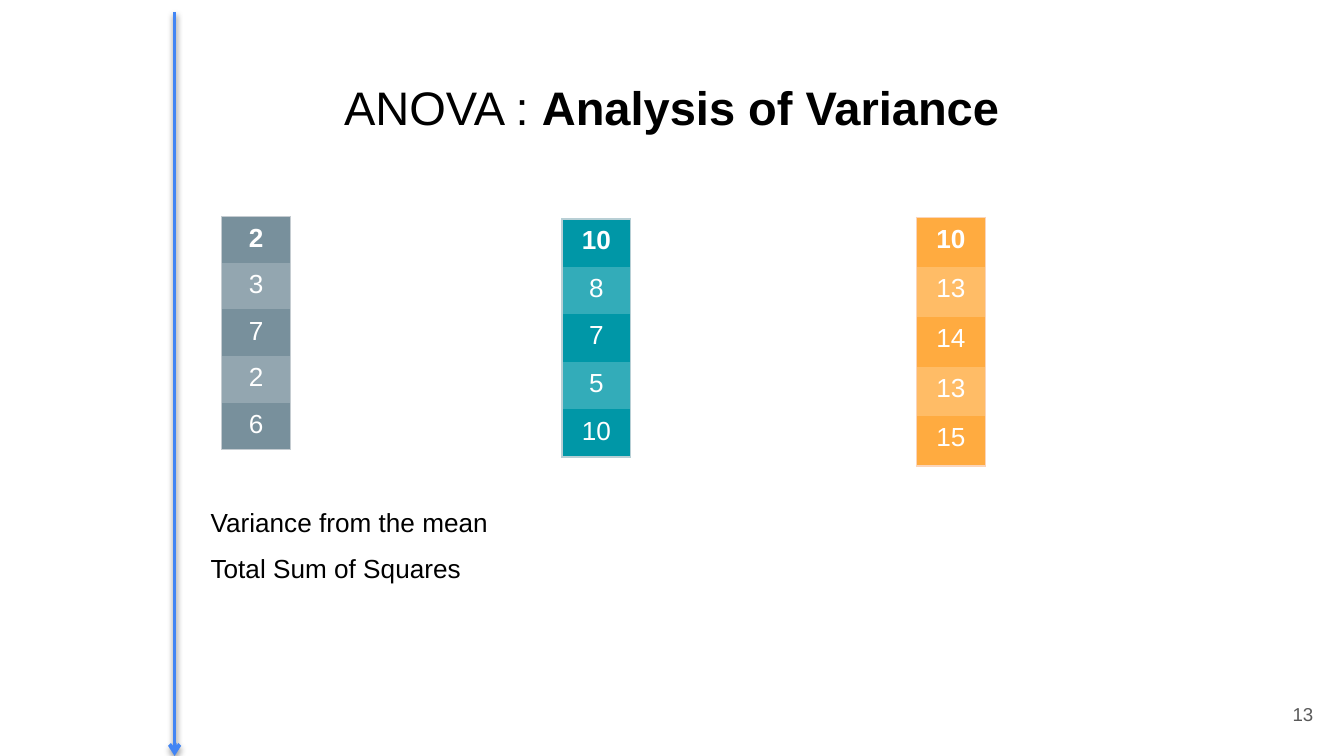
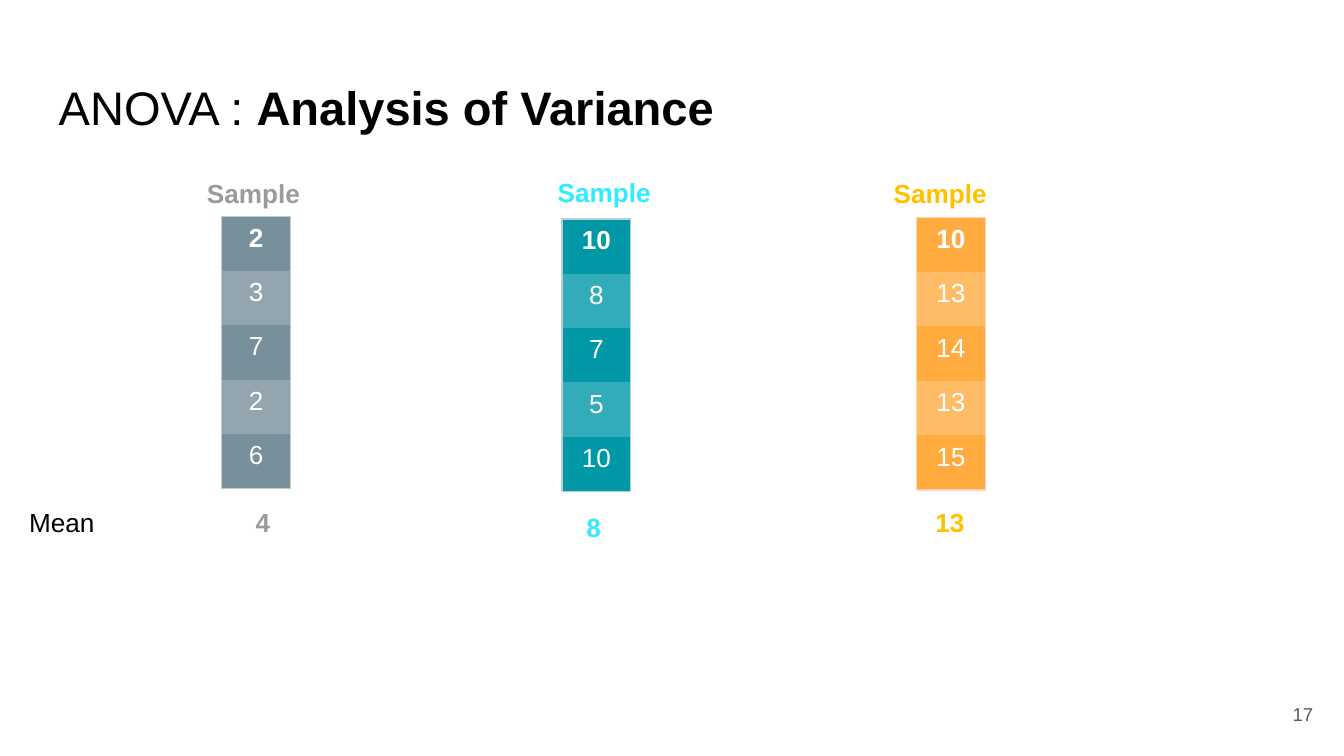
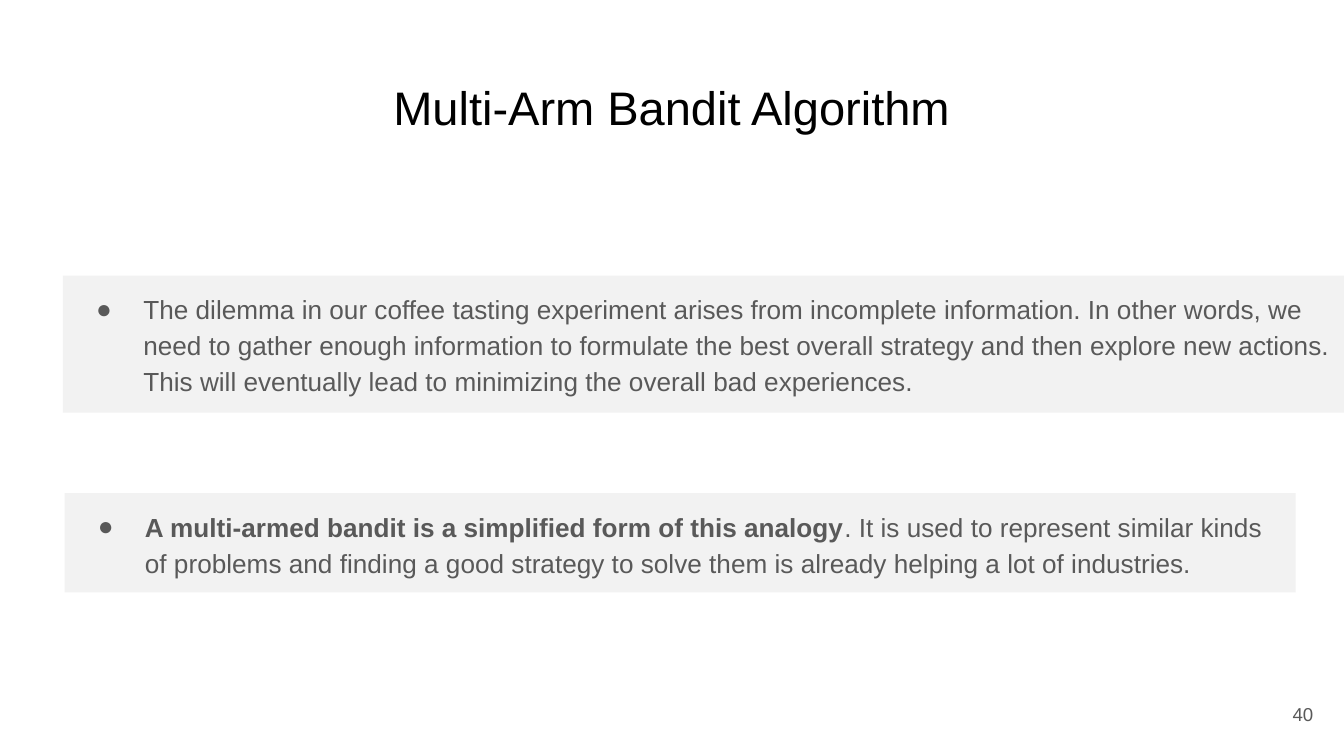
from pptx import Presentation
from pptx.dml.color import RGBColor
from pptx.enum.shapes import MSO_CONNECTOR, MSO_SHAPE
from pptx.enum.text import MSO_ANCHOR, MSO_AUTO_SIZE, PP_ALIGN
from pptx.oxml import parse_xml
from pptx.oxml.ns import nsdecls, qn
from pptx.util import Cm, Pt

FONT = "Arial"
BLACK, WHITE, GREY, PANEL, AXIS = "000000", "FFFFFF", "595959", "F2F2F2", "4285F4"
LEFT, CENTER, RIGHT = PP_ALIGN.LEFT, PP_ALIGN.CENTER, PP_ALIGN.RIGHT
WIDE_INSET, NARROW_INSET = 0.25, 0.13
PLAIN_TABLE = "{2D5ABB26-0587-4C30-8999-92F81FD0307C}"
ANOVA = [("ANOVA : ", False), ("Analysis of Variance", True)]

SAMPLES = [
    {"values": [2, 3, 7, 2, 6], "left": 4.19, "top": 4.09, "fill": "78909C", "edge": "C5CCD1"},
    {"values": [10, 8, 7, 5, 10], "left": 10.62, "top": 4.14, "fill": "0097A7", "edge": "B8CFD5"},
    {"values": [10, 13, 14, 13, 15], "left": 17.32, "top": 4.11, "fill": "FFAB40", "edge": "FBD5BA"},
]


def color(hex_code):
    return RGBColor.from_string(hex_code)


def lighten(hex_code, share=0.2):
    return "".join(
        f"{round(channel + (255 - channel) * share):02X}" for channel in color(hex_code)
    )


def xml(tag, body):
    name = tag.split()[0]
    return parse_xml(f"<a:{tag} {nsdecls('a')}>{body}</a:{name}>")


def write(frame, text, size=14, ink=BLACK, bold=False, align=LEFT,
          anchor=MSO_ANCHOR.TOP, inset=NARROW_INSET, spacing=None, bullet=None):
    frame.word_wrap = True
    frame.auto_size = MSO_AUTO_SIZE.NONE
    frame.vertical_anchor = anchor
    frame.margin_left = frame.margin_right = Cm(WIDE_INSET)
    frame.margin_top = frame.margin_bottom = Cm(inset)
    paragraph = frame.paragraphs[0]
    paragraph.alignment = align
    if spacing:
        paragraph.line_spacing = spacing
    if bullet:
        properties = paragraph._p.get_or_add_pPr()
        properties.set("marL", str(Cm(1.27)))
        properties.set("indent", str(Cm(-0.89)))
        properties.append(xml("buClr", f'<a:srgbClr val="{ink}"/>'))
        properties.append(xml(f'buFont typeface="{FONT}"', ""))
        properties.append(xml(f'buChar char="{bullet}"', ""))
    for words, strong in [(text, bold)] if isinstance(text, str) else text:
        run = paragraph.add_run()
        run.text = words
        run.font.name = FONT
        run.font.size = Pt(size)
        run.font.bold = strong
        run.font.color.rgb = color(ink)


class Deck:
    def __init__(self):
        self.presentation = Presentation()
        self.presentation.slide_width = Cm(25.4)
        self.presentation.slide_height = Cm(14.29)
        self.slide = None

    def page(self, title, number, align=CENTER):
        self.slide = self.presentation.slides.add_slide(self.presentation.slide_layouts[5])
        heading = self.slide.shapes.title
        heading.left, heading.top, heading.width, heading.height = map(
            Cm, (0.86, 1.24, 23.67, 1.6))
        write(heading.text_frame, title, size=25.2, align=align, inset=WIDE_INSET)
        self.label(number, 23.55, 12.95, 1.52, 1.09, size=10, ink=GREY, align=RIGHT,
                   anchor=MSO_ANCHOR.MIDDLE, inset=WIDE_INSET)

    def label(self, text, left, top, width, height=0.86, **style):
        box = self.slide.shapes.add_textbox(Cm(left), Cm(top), Cm(width), Cm(height))
        write(box.text_frame, text, **style)

    def panel(self, text, left, top, width, height):
        box = self.slide.shapes.add_shape(
            MSO_SHAPE.RECTANGLE, Cm(left), Cm(top), Cm(width), Cm(height))
        box.shadow.inherit = False
        box.fill.solid()
        box.fill.fore_color.rgb = color(PANEL)
        box.line.fill.background()
        write(box.text_frame, text, ink=GREY, inset=WIDE_INSET, spacing=1.15, bullet="●")

    def sample(self, values, left, top, fill, edge, row_height):
        count = len(values)
        table = self.slide.shapes.add_table(
            count, 1, Cm(left), Cm(top), Cm(1.3), Cm(row_height * count)).table
        table.first_row = table.horz_banding = False
        table._tbl.tblPr.find(qn("a:tableStyleId")).text = PLAIN_TABLE
        for index, value in enumerate(values):
            table.rows[index].height = Cm(row_height)
            cell = table.cell(index, 0)
            write(cell.text_frame, str(value), ink=WHITE, bold=index == 0, align=CENTER)
            cell.margin_top = cell.margin_bottom = Cm(NARROW_INSET)
            sides = ["lnL", "lnR"] + ["lnT"] * (index == 0) + ["lnB"] * (index == count - 1)
            for side in sides:
                cell._tc.get_or_add_tcPr().append(xml(
                    f'{side} w="{Pt(0.75)}"',
                    f'<a:solidFill><a:srgbClr val="{edge}"/></a:solidFill>'))
            cell.fill.solid()
            cell.fill.fore_color.rgb = color(lighten(fill) if index % 2 else fill)

    def arrow(self, left, top, bottom):
        line = self.slide.shapes.add_connector(
            MSO_CONNECTOR.STRAIGHT, Cm(left), Cm(top), Cm(left), Cm(bottom))
        line.line.color.rgb = color(AXIS)
        line.line.width = Pt(2)
        line.line._get_or_add_ln().append(xml('tailEnd type="arrow"', ""))
        line._element.spPr.append(xml(
            "effectLst",
            f'<a:outerShdw blurRad="{Pt(3.1)}" dist="{Pt(1.6)}" dir="5400000">'
            f'<a:srgbClr val="{BLACK}"><a:alpha val="38000"/></a:srgbClr></a:outerShdw>'))


def total_variance(deck):
    deck.page(ANOVA, "13")
    for sample, row_height in zip(SAMPLES, (0.88, 0.9, 0.94)):
        deck.sample(**sample, row_height=row_height)
    deck.arrow(3.3, 0.23, 14.29)
    deck.label("Variance from the mean", 3.73, 9.45, 6.91)
    deck.label("Total Sum of Squares", 3.73, 10.31, 6.91)


def sample_means(deck):
    deck.page(ANOVA, "17", align=LEFT)
    for sample in SAMPLES:
        deck.sample(**sample, row_height=1.03)
    headings = [(3.66, 3.23), (10.29, 3.2), (16.64, 3.23)]
    means = [("4", 3.66, 9.45, 2.62), ("8", 8.86, 9.53, 4.72), ("13", 16, 9.45, 3.91)]
    for ink, heading, mean in zip(("9B9B9B", "31EBFF", "FFC000"), headings, means):
        deck.label("Sample", *heading, 2.62, ink=ink, bold=True)
        deck.label(*mean, ink=ink, bold=True, align=CENTER)
    deck.label("Mean", 0.3, 9.45, 2.84)


def bandit(deck):
    deck.page("Multi-Arm Bandit Algorithm", "40")
    deck.panel(
        "The dilemma in our coffee tasting experiment arises from incomplete information. "
        "In other words, we need to gather enough information to formulate the best overall "
        "strategy and then explore new actions. This will eventually lead to minimizing the "
        "overall bad experiences.", 1.19, 5.21, 24.21, 2.59)
    deck.panel([
        ("A multi-armed bandit is a simplified form of this analogy", True),
        (". It is used to represent similar kinds of problems and finding a good strategy "
         "to solve them is already helping a lot of industries.", False),
    ], 1.22, 9.32, 23.27, 1.88)


def main():
    deck = Deck()
    total_variance(deck)
    sample_means(deck)
    bandit(deck)
    deck.presentation.save("out.pptx")


if __name__ == "__main__":
    main()
